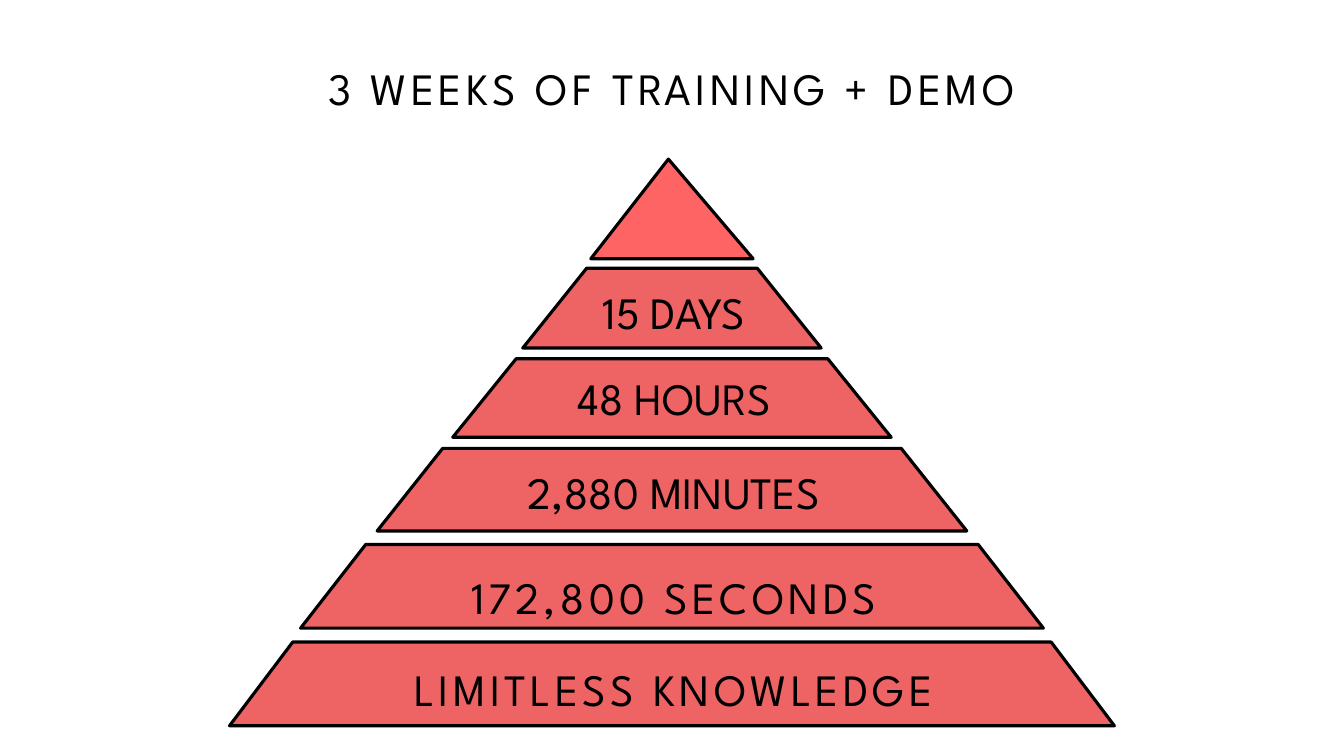
"""Build a training slide with a six-tier pyramid."""
from dataclasses import dataclass

from lxml import etree
from pptx import Presentation
from pptx import util as u
from pptx.dml import color
from pptx.enum import shapes, text
from pptx.oxml import ns


@dataclass(frozen=True)
class Theme:
    """Colours, font and sizes of the slide."""
    ink: str = "000000"
    paper: str = "FFFFFF"
    tier: str = "EE6464"
    peak: str = "FF6464"
    font: str = "League Spartan"
    size: float = 32
    outline: float = 2.25
    tracking: int = 300
    leading: float = 1.1


@dataclass(frozen=True)
class Tier:
    """One pyramid level, measured in centimetres."""
    top: float
    width: float
    height: float
    slant: float
    label: str = ""
    label_top: float = 0
    label_width: float = 0
    spaced: bool = False


THEME = Theme()
SLIDE_WIDTH, SLIDE_HEIGHT = 33.87, 19.05
LABEL_SHIFT = 0.05
TIERS = (
    Tier(16.18, 22.3, 2.11, 0.755, "LIMITLESS KNOWLEDGE", 15.54, 24.87, True),
    Tier(13.72, 18.72, 2.11, 0.779, "172,800 SECONDS", 13.21, 24.87, True),
    Tier(11.3, 14.86, 2.08, 0.794, "2,880 MINUTES", 11.58, 11.05),
    Tier(9.04, 11.05, 1.98, 0.808, "48 HOURS", 9.22, 7.52),
    Tier(6.76, 7.52, 2.01, 0.801, "15 DAYS", 7.04, 6.15),
    Tier(4.01, 4.09, 2.51, 0.478),
)


def apply(target, formats):
    """Set each attribute in formats on target."""
    for name, value in formats.items():
        setattr(target, name, value)


def write_label(shape, wording, spaced, bottom=0):
    """Write one centred line, letterspaced in a flush frame if asked."""
    frame = shape.text_frame
    apply(frame, {"word_wrap": True, "auto_size": text.MSO_AUTO_SIZE.NONE})
    paragraph = frame.paragraphs[0]
    paragraph.alignment = text.PP_ALIGN.CENTER
    run = paragraph.add_run()
    run.text = wording
    apply(run.font, {"name": THEME.font, "size": u.Pt(THEME.size), "bold": False})
    run.font.color.rgb = color.RGBColor.from_string(THEME.ink)
    if spaced:
        apply(frame, {
            "margin_left": 0, "margin_right": 0, "margin_top": 0,
            "margin_bottom": u.Cm(bottom),
            "vertical_anchor": text.MSO_ANCHOR.MIDDLE,
        })
        paragraph.line_spacing = THEME.leading
        properties = run.font._element
        properties.set("spc", str(THEME.tracking))
        etree.SubElement(properties, ns.qn("a:ea")).set("typeface", THEME.font)


def add_title(slide, left, top, width, height):
    """Place the title in the given box, raised above its middle."""
    title = slide.shapes.title
    apply(title, {"left": u.Cm(left), "top": u.Cm(top),
                  "width": u.Cm(width), "height": u.Cm(height)})
    write_label(title, "3 WEEKS OF TRAINING + DEMO", True, bottom=1.22)


def add_tier(slide, tier, axis):
    """Draw one pyramid level centred on the axis."""
    kinds = shapes.MSO_SHAPE
    kind = kinds.TRAPEZOID if tier.label else kinds.ISOSCELES_TRIANGLE
    shape = slide.shapes.add_shape(
        kind, u.Cm(axis - tier.width / 2), u.Cm(tier.top),
        u.Cm(tier.width), u.Cm(tier.height))
    shape.adjustments[0] = tier.slant
    shape.shadow.inherit = False
    shape.fill.solid()
    fill = THEME.tier if tier.label else THEME.peak
    shape.fill.fore_color.rgb = color.RGBColor.from_string(fill)
    shape.line.color.rgb = color.RGBColor.from_string(THEME.ink)
    shape.line.width = u.Pt(THEME.outline)


def add_tier_label(slide, tier, axis):
    """Place the wording of one level centred on the axis."""
    height = 3.51 if tier.spaced else 1.63
    box = slide.shapes.add_textbox(
        u.Cm(axis - tier.label_width / 2), u.Cm(tier.label_top),
        u.Cm(tier.label_width), u.Cm(height))
    write_label(box, tier.label, tier.spaced)


def add_pyramid(slide, left, width):
    """Stack all levels and their labels on the middle of the given span."""
    axis = left + width / 2
    for tier in TIERS:
        add_tier(slide, tier, axis)
    for tier in TIERS:
        if tier.label:
            add_tier_label(slide, tier, axis + LABEL_SHIFT)


def main():
    """Create the presentation and save it."""
    presentation = Presentation()
    apply(presentation, {"slide_width": u.Cm(SLIDE_WIDTH),
                         "slide_height": u.Cm(SLIDE_HEIGHT)})
    slide = presentation.slides.add_slide(presentation.slide_layouts[0])
    subtitle = slide.placeholders[1].element
    subtitle.getparent().remove(subtitle)
    background = slide.background.fill
    background.solid()
    background.fore_color.rgb = color.RGBColor.from_string(THEME.paper)
    add_title(slide, 0, 0.61, SLIDE_WIDTH, 4.27)
    add_pyramid(slide, 0, SLIDE_WIDTH)
    presentation.save("out.pptx")


if __name__ == "__main__":
    main()
